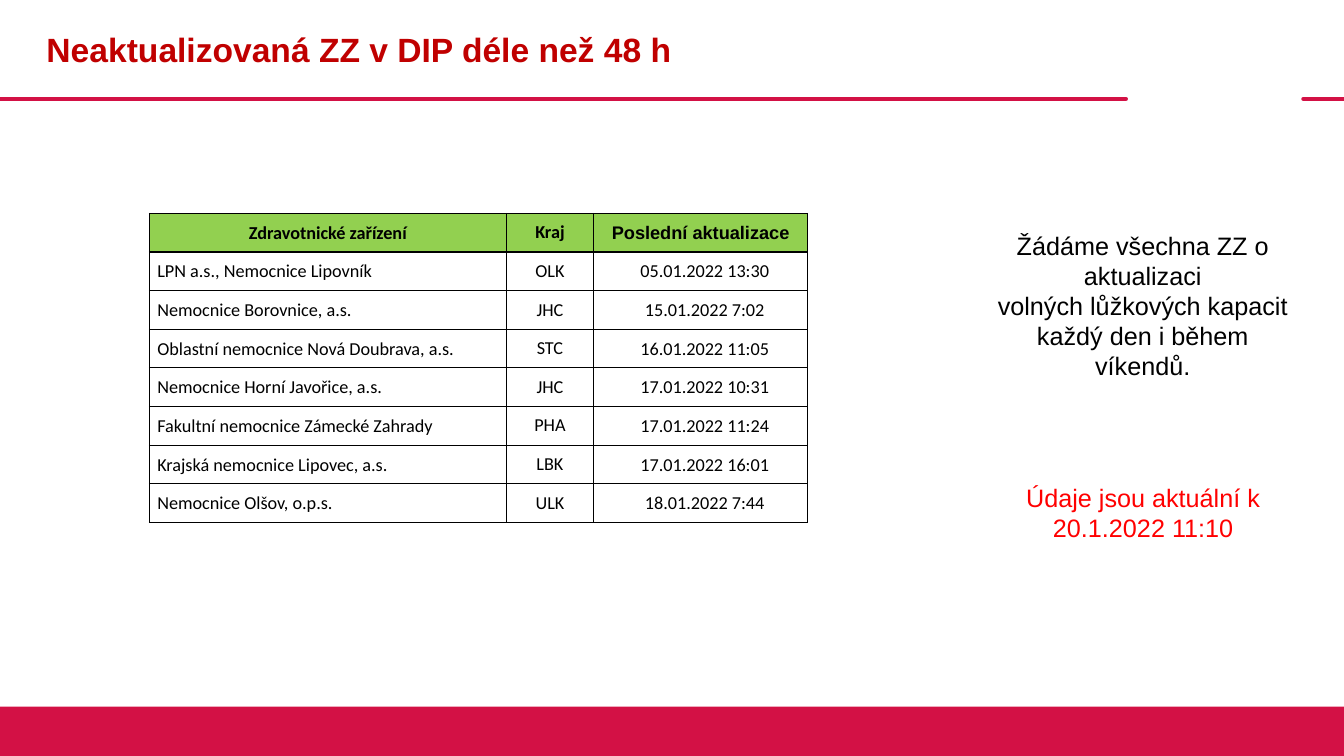
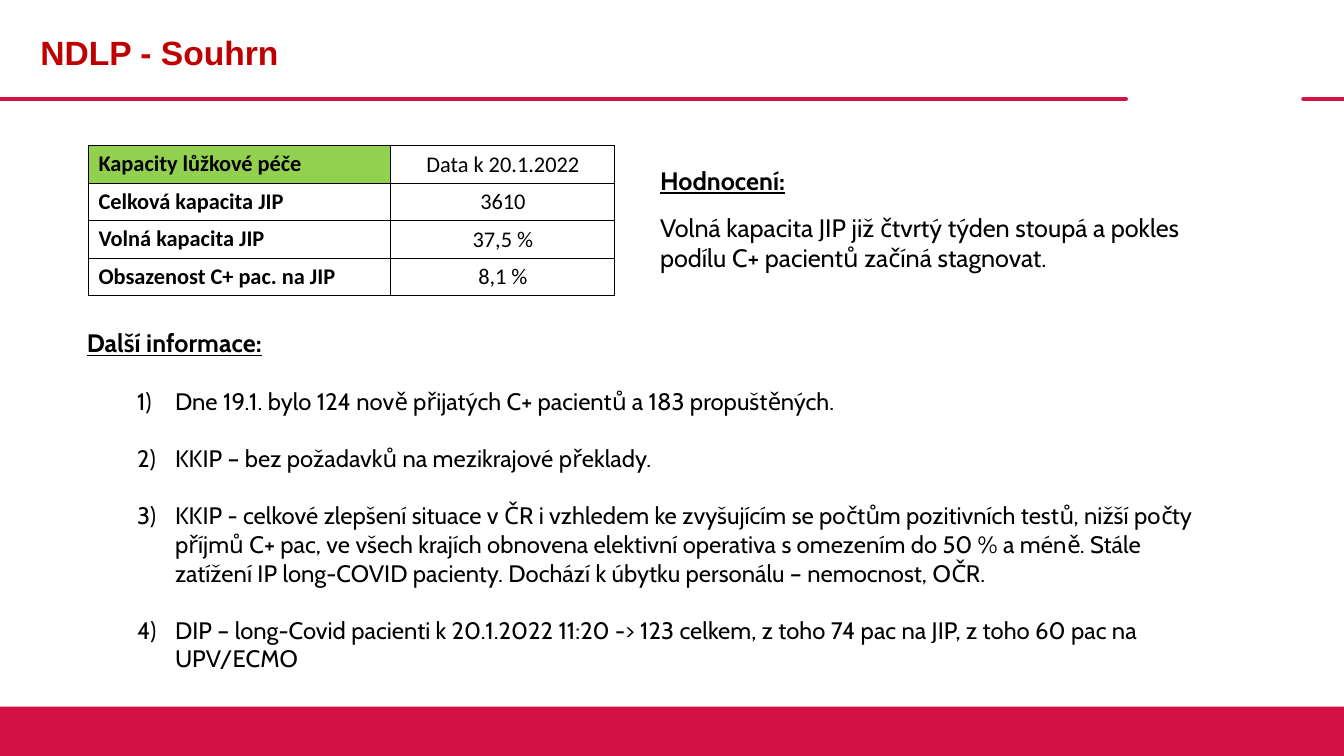
"""Build two slides on hospital capacity reporting: overdue updates and a summary."""
from lxml import etree
from pptx import Presentation
from pptx.dml.color import RGBColor
from pptx.enum.dml import MSO_THEME_COLOR
from pptx.enum.shapes import MSO_CONNECTOR, MSO_SHAPE
from pptx.enum.text import MSO_ANCHOR, MSO_AUTO_SIZE, PP_ALIGN
from pptx.oxml.ns import qn
from pptx.util import Pt

LEFT, CENTER = PP_ALIGN.LEFT, PP_ALIGN.CENTER
TOP, MIDDLE = MSO_ANCHOR.TOP, MSO_ANCHOR.MIDDLE
STRAIGHT, RECTANGLE = MSO_CONNECTOR.STRAIGHT, MSO_SHAPE.RECTANGLE
NO_AUTOFIT = MSO_AUTO_SIZE.NONE

CRIMSON = RGBColor(0xD3, 0x11, 0x45)
DARK_RED = RGBColor(0xC0, 0x00, 0x00)
RED = RGBColor(0xFF, 0x00, 0x00)
GREEN = RGBColor(0x92, 0xD0, 0x50)
WHITE = RGBColor(0xFF, 0xFF, 0xFF)
BLACK = RGBColor(0x00, 0x00, 0x00)


def format_text(paragraph, color=BLACK, **font_values):
    for name, value in font_values.items():
        setattr(paragraph.font, name, value)
    paragraph.font.color.rgb = color


def add_grid(slide, left, top, row_height, columns, rows, size, border, header_border):
    width = sum(column["width"] for column in columns)
    frame = slide.shapes.add_table(len(rows), len(columns), Pt(left), Pt(top),
                                   Pt(width), Pt(row_height * len(rows)))
    table = frame.table
    table.first_row = table.horz_banding = False
    for column_index, column in enumerate(columns):
        table.columns[column_index].width = Pt(column["width"])
        for row_index, row in enumerate(rows):
            table.rows[row_index].height = Pt(row_height)
            cell = table.cell(row_index, column_index)
            cell.text = row[column_index]
            cell.vertical_anchor = column["anchor"]
            for side, margin in zip(("left", "top", "right", "bottom"), column["margins"]):
                setattr(cell, "margin_" + side, Pt(margin))
            paragraph = cell.text_frame.paragraphs[0]
            paragraph.alignment = column["align"]
            format_text(paragraph, size=Pt(size), name="Calibri", bold=column["bold"])
            properties = cell._tc.get_or_add_tcPr()
            for side in "LRTB":
                is_header_edge = (row_index, side) in ((0, "T"), (0, "B"), (1, "T"))
                line_width = header_border if is_header_edge else border
                line = etree.SubElement(properties, qn("a:ln" + side), w=str(Pt(line_width)))
                line_fill = etree.SubElement(line, qn("a:solidFill"))
                etree.SubElement(line_fill, qn("a:srgbClr"), val=str(BLACK))
            cell.fill.solid()
            cell.fill.fore_color.rgb = WHITE
    return table


presentation = Presentation()
presentation.slide_width, presentation.slide_height = Pt(960), Pt(540)
master = presentation.slide_master
title_only, title_and_content = presentation.slide_layouts[5], presentation.slide_layouts[1]

master_title = master.placeholders[0]
title_place = {"left": Pt(26), "top": Pt(0), "width": Pt(778), "height": Pt(70.6)}
for name, value in title_place.items():
    setattr(master_title, name, value)
title_style = master.element.find(".//" + qn("p:titleStyle") + "/" + qn("a:lvl1pPr"))
title_style.set("algn", "l")
title_font = title_style.find(qn("a:defRPr"))
title_font.set("sz", "2400")
title_font.set("b", "1")
title_font.find(qn("a:latin")).set("typeface", "Arial")
title_fill = title_font.find(qn("a:solidFill"))
title_fill.clear()
etree.SubElement(title_fill, qn("a:srgbClr"), val=str(DARK_RED))

overdue_slide = presentation.slides.add_slide(title_only)
for start, end in ((0, 804.2), (931, 960)):
    rule = overdue_slide.shapes.add_connector(STRAIGHT, Pt(start), Pt(70.6), Pt(end), Pt(70.6))
    rule.line.color.rgb = CRIMSON
    rule.line.width = Pt(3)
    rule.line._get_or_add_ln().set("cap", "rnd")
    etree.SubElement(rule.element.spPr, qn("a:effectLst"))
    master.shapes.element.append(rule.element)
footer_band = overdue_slide.shapes.add_shape(RECTANGLE, Pt(0), Pt(504.7), Pt(960), Pt(35.3))
footer_band.shadow.inherit = False
footer_band.fill.solid()
footer_band.fill.fore_color.rgb = CRIMSON
footer_band.line.fill.background()
master.shapes.element.append(footer_band.element)

overdue_slide.shapes.title.text = "Neaktualizovaná ZZ v DIP déle než 48 h"
overdue_columns = [
    {"width": 255, "align": LEFT, "anchor": MIDDLE, "margins": (5.8, 0.7, 0.7, 0), "bold": False},
    {"width": 62.5, "align": CENTER, "anchor": MIDDLE, "margins": (0.7, 5.8, 0.7, 5.8), "bold": False},
    {"width": 152.7, "align": CENTER, "anchor": MIDDLE, "margins": (6.5, 0.7, 0.7, 0), "bold": False},
]
overdue_rows = [
    ("Zdravotnické zařízení", "Kraj", "Poslední aktualizace"),
    ("LPN a.s., Nemocnice Lipovník", "OLK", "05.01.2022 13:30"),
    ("Nemocnice Borovnice, a.s.", "JHC", "15.01.2022 7:02"),
    ("Oblastní nemocnice Nová Doubrava, a.s.", "STC", "16.01.2022 11:05"),
    ("Nemocnice Horní Javořice, a.s.", "JHC", "17.01.2022 10:31"),
    ("Fakultní nemocnice Zámecké Zahrady", "PHA", "17.01.2022 11:24"),
    ("Krajská nemocnice Lipovec, a.s.", "LBK", "17.01.2022 16:01"),
    ("Nemocnice Olšov, o.p.s.", "ULK", "18.01.2022 7:44"),
]
overdue_table = add_grid(overdue_slide, 106.6, 152.4, 27.6, overdue_columns, overdue_rows,
                         13, 0.5, 1)
for cell, font_name in zip(overdue_table.rows[0].cells, ("Calibri", "Calibri", "Arial")):
    cell.fill.fore_color.rgb = GREEN
    cell.margin_left = Pt(0.7)
    cell.text_frame.paragraphs[0].alignment = CENTER
    format_text(cell.text_frame.paragraphs[0], name=font_name, bold=True)

side_notes = [
    ((713, 340.6, 207, 51), RED, "Údaje jsou aktuální k 20.1.2022 11:10"),
    ((700, 160.6, 232.6, 116.6), BLACK,
     "Žádáme všechna ZZ o aktualizaci\nvolných lůžkových kapacit\nkaždý den i během víkendů."),
]
for place, color, text in side_notes:
    note = overdue_slide.shapes.add_textbox(*map(Pt, place))
    note.text_frame.word_wrap = True
    note.text_frame.text = text
    for paragraph in note.text_frame.paragraphs:
        paragraph.alignment = CENTER
        format_text(paragraph, color, size=Pt(18), name="Arial")

summary_slide = presentation.slides.add_slide(title_and_content)
summary_title = summary_slide.shapes.title
summary_title.text = "NDLP - Souhrn"
for name, value in (title_place | {"left": Pt(21.6), "top": Pt(2)}).items():
    setattr(summary_title, name, value)

summary_columns = [
    {"width": 216, "align": LEFT, "anchor": TOP, "margins": (7.2, 3.6, 7.2, 3.6), "bold": True},
    {"width": 160, "align": CENTER, "anchor": MIDDLE, "margins": (7.2, 3.6, 7.2, 3.6), "bold": False},
]
summary_rows = [
    ("Kapacity lůžkové péče", "Data k 20.1.2022"),
    ("Celková kapacita JIP", "3610"),
    ("Volná kapacita JIP", "37,5 %"),
    ("Obsazenost C+ pac. na JIP", "8,1 %"),
]
summary_table = add_grid(summary_slide, 63.2, 104, 26.7, summary_columns, summary_rows,
                         16, 0.75, 0.75)
summary_table.cell(0, 0).fill.fore_color.rgb = GREEN

information = summary_slide.placeholders[1]
information_place = {"left": Pt(54.8), "top": Pt(230.4), "width": Pt(818.6), "height": Pt(257)}
for name, value in information_place.items():
    setattr(information, name, value)
information_lines = [
    "Další informace:",
    "Dne 19.1. bylo 124 nově přijatých C+ pacientů a 183 propuštěných.",
    "KKIP – bez požadavků na mezikrajové překlady.",
    "KKIP - celkové zlepšení situace v ČR i vzhledem ke zvyšujícím se počtům pozitivních testů, "
    "nižší počty příjmů C+ pac, ve všech krajích obnovena elektivní operativa s omezením do 50 % "
    "a méně. Stále zatížení IP long-COVID pacienty. Dochází k úbytku personálu – nemocnost, OČR.",
    "DIP – long-Covid pacienti k 20.1.2022 11:20 -> 123 celkem, z toho 74 pac na JIP, "
    "z toho 60 pac na UPV/ECMO",
]
information.text_frame.text = "\n".join(information_lines)
information.text_frame.auto_size = NO_AUTOFIT
for index, paragraph in enumerate(information.text_frame.paragraphs):
    is_item = index > 0
    paragraph.level = int(is_item)
    paragraph.space_before = Pt(20.5 if is_item else 0)
    properties = paragraph._p.get_or_add_pPr()
    properties.set("marL", str(Pt(63 if is_item else 0)))
    properties.set("indent", str(Pt(-27 if is_item else 0)))
    if is_item:
        etree.SubElement(properties, qn("a:buFont"), typeface="+mj-lt")
        etree.SubElement(properties, qn("a:buAutoNum"), type="arabicParenR")
    else:
        etree.SubElement(properties, qn("a:buNone"))
    format_text(paragraph, size=Pt(17 if is_item else 18), name="Cabin",
                bold=not is_item, underline=not is_item)

evaluation = summary_slide.shapes.add_textbox(Pt(464.4), Pt(114.5), Pt(414), Pt(85))
evaluation.text_frame.word_wrap = True
evaluation.text_frame.text = ("Hodnocení:\nVolná kapacita JIP již čtvrtý týden stoupá a pokles "
                              "podílu C+ pacientů začíná stagnovat.")
for paragraph, is_heading in zip(evaluation.text_frame.paragraphs, (True, False)):
    paragraph.space_after = Pt(12 if is_heading else 0)
    format_text(paragraph, size=Pt(18), name="Cabin", bold=is_heading, underline=is_heading)

presentation.save("out.pptx")
